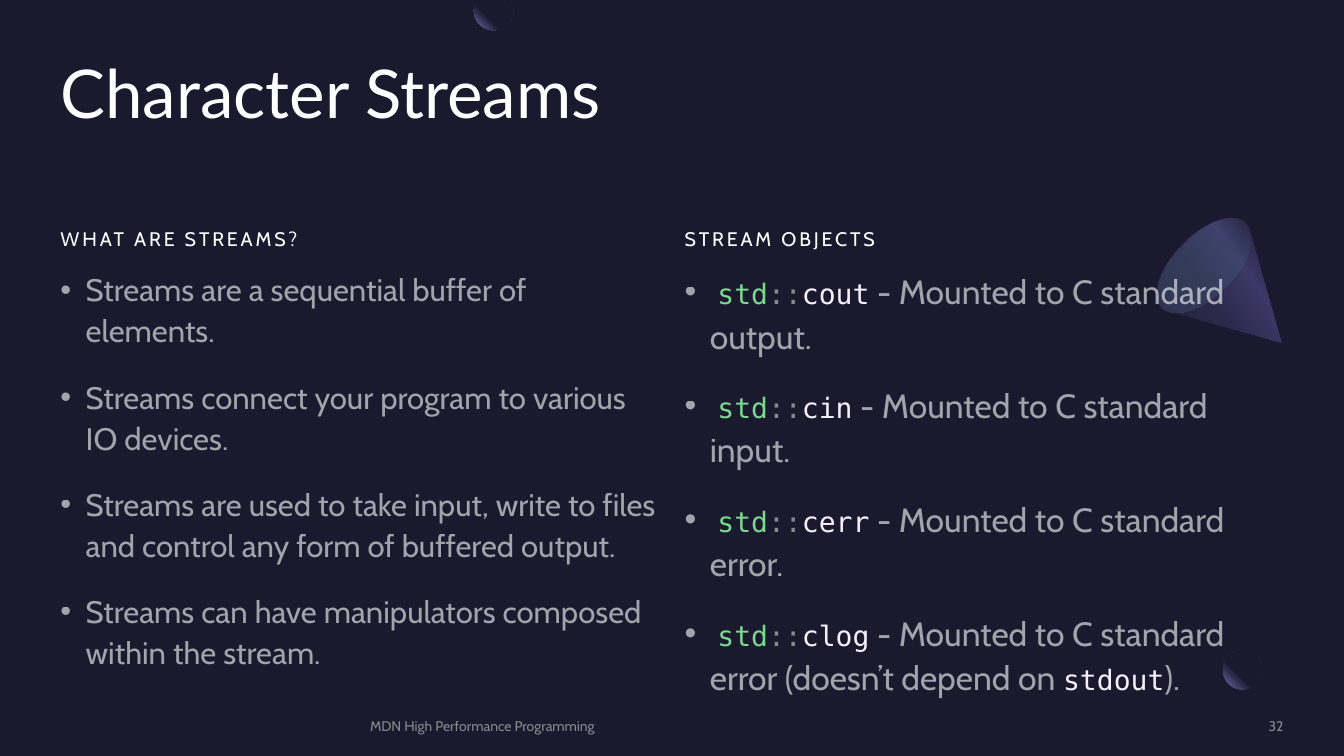
from itertools import pairwise
from math import cos, radians, sin, tan

from lxml.etree import SubElement
from pptx import Presentation
from pptx.dml.color import RGBColor
from pptx.enum.shapes import MSO_SHAPE
from pptx.enum.text import MSO_ANCHOR, PP_ALIGN
from pptx.oxml import parse_xml
from pptx.oxml.ns import nsdecls, qn
from pptx.util import Emu, Pt

PX = 9144  # 100 px to the inch

NIGHT = RGBColor(0x1B, 0x19, 0x2E)
LILAC = RGBColor(0x77, 0x71, 0xB2)
CONE_DARK = RGBColor(0x2C, 0x28, 0x4A)
CONE_LIGHT = RGBColor(0x3C, 0x38, 0x67)
DISC_PURPLE = RGBColor(0x45, 0x40, 0x75)
DISC_MINT = RGBColor(0x5B, 0xEF, 0xC1)
WHITE = RGBColor(0xFF, 0xFF, 0xFF)
FOOTER_GRAY = RGBColor(0xA6, 0xA6, 0xA6)
CODE_GREEN = RGBColor(0x7B, 0xD8, 0x8F)
CODE_GRAY = RGBColor(0x8B, 0x88, 0x8F)
CODE_WHITE = RGBColor(0xF7, 0xF1, 0xFF)

# Run styles: size, font, colour, opacity in percent, letter spacing in points
TITLE = (48, "Lato", WHITE, 100, 0)
HEADING = (14, "Cabin", WHITE, 100, 2)
FOOTER = (10, "Cabin", FOOTER_GRAY, 80, 0)
LEFT_BODY = (22.2, "Cabin", WHITE, 60, 0)
RIGHT_BODY = (24, "Cabin", WHITE, 60, 0)
NAMESPACE = (20, "DejaVu Sans Mono", CODE_GREEN, 100, 0)
OPERATOR = (20, "DejaVu Sans Mono", CODE_GRAY, 100, 0)
IDENTIFIER = (20, "DejaVu Sans Mono", CODE_WHITE, 100, 0)

STREAM_FACTS = [
    "Streams are a sequential buffer of elements.",
    "Streams connect your program to various IO devices.",
    "Streams are used to take input, write to files and control any form of buffered output.",
    "Streams can have manipulators composed within the stream.",
]
STREAM_OBJECTS = [
    ("cout", " - Mounted to C standard output.", []),
    ("cin", " - Mounted to C standard input.", []),
    ("cerr", " - Mounted to C standard error.", []),
    ("clog", " - Mounted to C standard error (doesn’t depend on ",
     [("stdout", IDENTIFIER), (").", RIGHT_BODY)]),
]

# Gradient stops: position, colour, opacity
ORB_STOPS = [(60, NIGHT, 100), (100, LILAC, 100)]
CONE_STOPS = [(30, CONE_DARK, 100), (40, CONE_LIGHT, 100), (60, CONE_DARK, 100), (100, NIGHT, 100)]
DISC_STOPS = [(0, DISC_PURPLE, 33), (100, DISC_MINT, 0)]

COLUMN_LEFTS = (60, 679)
COLUMN_WIDTH = 595
INDENT = 25


def px(*lengths):
    return [Emu(round(length * PX)) for length in lengths]


def set_opacity(fill_parent, percent):
    color = fill_parent.find(qn("a:solidFill")).find(qn("a:srgbClr"))
    SubElement(color, qn("a:alpha")).set("val", str(percent * 1000))


def add_bullet(paragraph):
    properties = paragraph._p.get_or_add_pPr()
    margin = px(INDENT)[0]
    properties.set("marL", str(margin))
    properties.set("indent", str(-margin))
    SubElement(properties, qn("a:buFont")).set("typeface", "Arial")
    SubElement(properties, qn("a:buChar")).set("char", "•")


def add_text(slide, box, paragraphs, *, anchor=MSO_ANCHOR.TOP, align=PP_ALIGN.LEFT,
             line_spacing=1.0, bullets=False):
    """Each paragraph is a list of (text, style) runs."""
    frame = slide.shapes.add_textbox(*px(*box)).text_frame
    frame.word_wrap = True
    frame.vertical_anchor = anchor
    frame.margin_left = frame.margin_right = frame.margin_top = frame.margin_bottom = 0
    for index, runs in enumerate(paragraphs):
        paragraph = frame.add_paragraph() if index else frame.paragraphs[0]
        paragraph.alignment = align
        paragraph.line_spacing = line_spacing
        if index:
            paragraph.space_before = Pt(10)
        if bullets:
            paragraph.space_after = Pt(8)
            add_bullet(paragraph)
        for text, (size, font, color, opacity, tracking) in runs:
            run = paragraph.add_run()
            run.text = text
            run.font.size = Pt(size)
            run.font.name = font
            run.font.color.rgb = color
            properties = run._r.get_or_add_rPr()
            if opacity < 100:
                set_opacity(properties, opacity)
            if tracking:
                properties.set("spc", str(tracking * 100))


def strip(shape):
    shape.shadow.inherit = False
    shape.line.fill.background()


def fill_gradient(shape, stops, angle=None):
    """Linear at the given angle, or circular around the top right corner."""
    strip(shape)
    stop_xml = "".join(
        f'<a:gs pos="{position * 1000}"><a:srgbClr val="{color}">'
        f'<a:alpha val="{opacity * 1000}"/></a:srgbClr></a:gs>'
        for position, color, opacity in stops)
    if angle is None:
        direction = '<a:path path="circle"><a:fillToRect l="100000" b="100000"/></a:path>'
    else:
        direction = f'<a:lin ang="{angle * 60000}" scaled="0"/>'
    gradient = parse_xml(f'<a:gradFill {nsdecls("a")} rotWithShape="1">'
                         f'<a:gsLst>{stop_xml}</a:gsLst>{direction}</a:gradFill>')
    shape.fill.background()
    properties = shape._element.spPr
    properties.replace(properties.find(qn("a:noFill")), gradient)


def add_round_outline(slide, corners, ellipse_box, overhang):
    """Straight corners, then the lower half of an ellipse, longer by overhang degrees at each end."""
    left, top, width, height = ellipse_box

    def on_ellipse(angle, pull=0):
        """Point at the angle, moved along the tangent by pull."""
        turn = radians(angle)
        return px(left + width / 2 * (1 + cos(turn) - pull * sin(turn)),
                  top + height / 2 * (1 + sin(turn) + pull * cos(turn)))

    angles = (-overhang, 0, 90, 180, 180 + overhang)
    first, *others = [px(*corner) for corner in corners] + [on_ellipse(angle) for angle in angles]
    builder = slide.shapes.build_freeform(*first)
    builder.add_line_segments(others, close=True)
    shape = builder.convert_to_shape()
    curves = list(shape._element.iter(qn("a:lnTo")))[1 - len(angles):]
    for curve, (start, end) in zip(curves, pairwise(angles)):
        pull = 4 / 3 * tan(radians(end - start) / 4)
        curve.tag = qn("a:cubicBezTo")
        for index, (x, y) in enumerate([on_ellipse(start, pull), on_ellipse(end, -pull)]):
            point = parse_xml(f'<a:pt {nsdecls("a")} x="{x - shape.left}" y="{y - shape.top}"/>')
            curve.insert(index, point)
    return shape


def add_decorations(slide):
    orb = slide.shapes.add_shape(MSO_SHAPE.OVAL, *px(1213, 645, 39, 39))
    fill_gradient(orb, ORB_STOPS)

    veil = slide.shapes.add_shape(MSO_SHAPE.RECTANGLE, *px(1252, 637, 41, 39))
    strip(veil)
    veil.fill.solid()
    veil.fill.fore_color.rgb = NIGHT
    set_opacity(veil._element.spPr, 80)

    cone = add_round_outline(slide, [(1222, 222)], (1163, 302, 118, 58), 14)
    fill_gradient(cone, CONE_STOPS, angle=10)
    cone.rotation = 135

    disc = slide.shapes.add_shape(MSO_SHAPE.OVAL, *px(1165, 204, 59, 118))
    fill_gradient(disc, DISC_STOPS, angle=90)
    disc.rotation = 225


def main():
    presentation = Presentation()
    presentation.slide_width, presentation.slide_height = px(1333, 750)
    slide = presentation.slides.add_slide(presentation.slide_layouts[6])
    slide.background.fill.solid()
    slide.background.fill.fore_color.rgb = NIGHT
    add_decorations(slide)

    add_text(slide, (60, 60, 1214, 146), [[("Character Streams", TITLE)]], line_spacing=0.9)
    facts = [[(fact, LEFT_BODY)] for fact in STREAM_FACTS]
    objects = [
        [(" ", RIGHT_BODY), ("std", NAMESPACE), ("::", OPERATOR), (name, IDENTIFIER),
         (target, RIGHT_BODY)] + ending
        for name, target, ending in STREAM_OBJECTS]
    columns = [("WHAT ARE STREAMS?", facts), ("STREAM OBJECTS", objects)]
    for left, (heading, paragraphs) in zip(COLUMN_LEFTS, columns):
        add_text(slide, (left, 189, COLUMN_WIDTH, 59), [[(heading, HEADING)]],
                 anchor=MSO_ANCHOR.BOTTOM, line_spacing=1.1)
        add_text(slide, (left, 265, COLUMN_WIDTH, 384), paragraphs, line_spacing=1.1, bullets=True)

    add_text(slide, (367, 712, 698, 17), [[("MDN High Performance Programming", FOOTER)]],
             anchor=MSO_ANCHOR.MIDDLE)
    add_text(slide, (1088, 712, 185, 17), [[("32", FOOTER)]],
             anchor=MSO_ANCHOR.MIDDLE, align=PP_ALIGN.RIGHT)
    top_orb = add_round_outline(slide, [(473, 0), (506, 0)], (470, -9, 39, 39), 22)
    fill_gradient(top_orb, ORB_STOPS)
    presentation.save("out.pptx")


if __name__ == "__main__":
    main()
